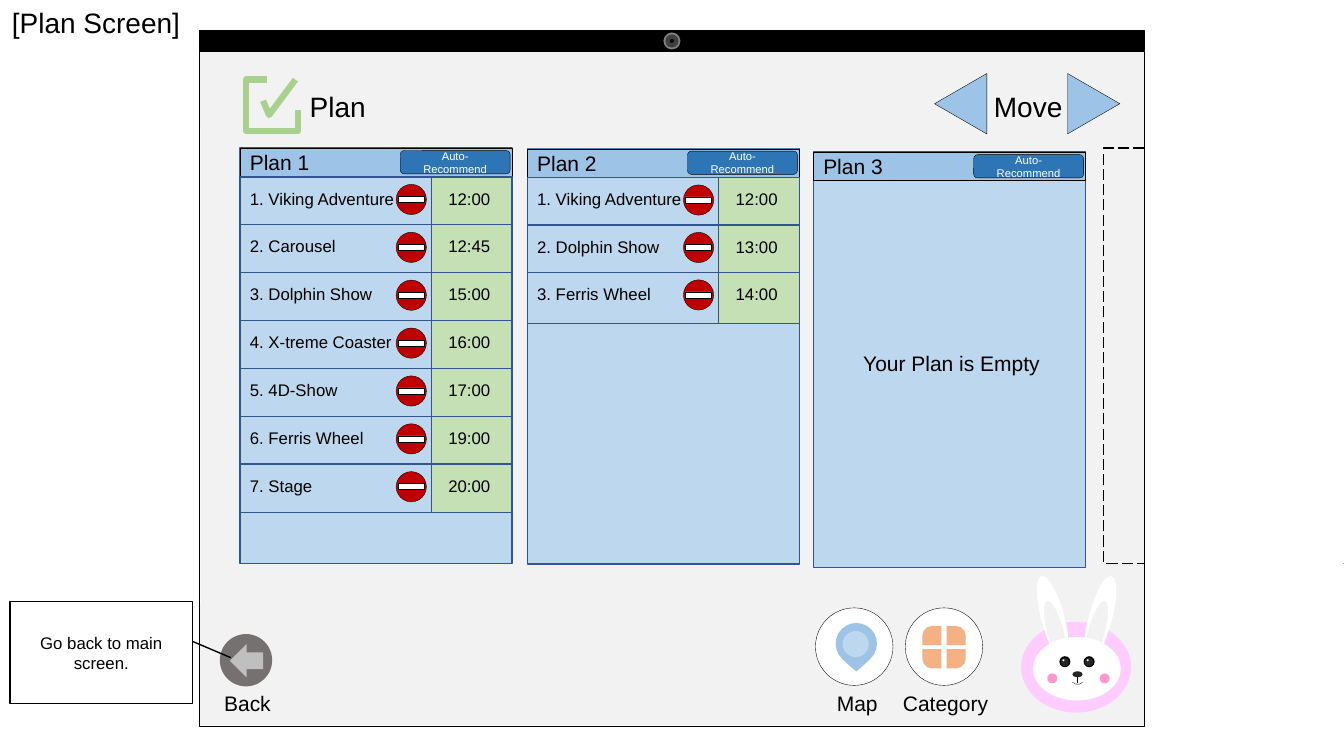
from lxml import etree
from pptx import Presentation
from pptx.dml.color import RGBColor
from pptx.enum.dml import MSO_LINE
from pptx.enum.shapes import MSO_CONNECTOR, MSO_SHAPE as SH
from pptx.enum.text import MSO_ANCHOR, PP_ALIGN
from pptx.oxml.ns import qn
from pptx.util import Pt

prs = Presentation()
prs.slide_width, prs.slide_height = Pt(960), Pt(540)
s = prs.slides.add_slide(prs.slide_layouts[5])


def shape(kind, x, y, w, h, fill=None, line=None, weight=0.25, rot=0, adj=()):
    sp = s.shapes.add_shape(kind, Pt(x), Pt(y), Pt(w), Pt(h))
    sp.shadow.inherit = False
    sp.rotation = rot
    for i, value in enumerate(adj):
        sp.adjustments[i] = value
    if fill:
        sp.fill.solid()
        sp.fill.fore_color.rgb = RGBColor.from_string(fill)
    else:
        sp.fill.background()
    if line:
        sp.line.color.rgb = RGBColor.from_string(line)
        sp.line.width = Pt(weight)
    else:
        sp.line.fill.background()
    return sp


def write(text, sp=None, box=None, size=15, color="000000",
          align=PP_ALIGN.CENTER, anchor=MSO_ANCHOR.TOP):
    sp = sp or s.shapes.add_textbox(*[Pt(v) for v in box])
    tf = sp.text_frame
    tf.word_wrap = True
    tf.vertical_anchor = anchor
    p = tf.paragraphs[0]
    p.alignment = align
    r = p.add_run()
    r.text = text
    r.font.name = "Arial"
    r.font.size = Pt(size)
    r.font.color.rgb = RGBColor.from_string(color)


title = s.shapes.title
title.left, title.top, title.width, title.height = Pt(-13.5), Pt(0), Pt(164.2), Pt(31.5)
write("[Plan Screen]", title, size=20)

# Tablet
shape(SH.RECTANGLE, 142.6, 36.7, 674.6, 481.7, "F2F2F2", "000000")
shape(SH.RECTANGLE, 142.6, 21.6, 674.6, 14.6, "000000", "000000", 1)
for d, color in [(12.2, "808080"), (9.4, "404040"), (2.9, "000000")]:
    shape(SH.OVAL, 480 - d / 2, 29.3 - d / 2, d, d, color)

# Rabbit
shape(SH.OVAL, 729.4, 444.2, 78.5, 64.8, "FFCCFF")
for outer_x, inner_x, rot in [(743.8, 748.1, 345), (777.6, 777.6, 15)]:
    shape(SH.OVAL, outer_x, 410.4, 16.6, 62.6, "FFFFFF", rot=rot)
    shape(SH.OVAL, inner_x, 428.4, 11.5, 45.4, "F2F2F2", rot=rot)
shape(SH.OVAL, 738, 455, 62.6, 45.4, "FFFFFF")
for eye_x, cheek_x in [(756.7, 748.1), (774, 785.5)]:
    shape(SH.OVAL, eye_x, 468.7, 7.9, 7.9, "000000")
    shape(SH.OVAL, eye_x + 0.9, 470, 5.8, 5.8, "262626")
    shape(SH.OVAL, eye_x + 2.2, 470.9, 1.4, 1.4, "FFFFFF")
    shape(SH.OVAL, cheek_x, 481, 7.2, 7.2, "FF99CC")
shape(SH.OVAL, 766.1, 479.5, 7.2, 4.3, "262626")
shape(SH.ARC, 764.6, 478.8, 10.1, 10.1, line="000000", rot=135)

# Back button
shape(SH.OVAL, 157, 452.9, 37.4, 37.4, "767171")
write("Back", box=(151.9, 489.6, 49.7, 25.2))
shape(SH.LEFT_ARROW, 164.2, 460.1, 23.8, 23.8, "BFBFBF")

# Heading
check_box = [(190.8, 56.9), (175.7, 56.9), (175.7, 93.6), (213.1, 93.6), (213.1, 78.5)]
check_mark = [(187.9, 72), (192.2, 82.1), (211, 56.9)]
for points in (check_box, check_mark):
    points = [(Pt(x), Pt(y)) for x, y in points]
    fb = s.shapes.build_freeform(*points[0])
    fb.add_line_segments(points[1:], close=False)
    sp = fb.convert_to_shape()
    sp.shadow.inherit = False
    sp.fill.background()
    sp.line.color.rgb = RGBColor.from_string("A9D18E")
    sp.line.width = Pt(4.5)
write("Plan", box=(171.4, 60.5, 139.7, 31.7), size=20)
for x, rot in [(759.6, 90), (664.6, 270)]:
    shape(SH.ISOSCELES_TRIANGLE, x, 55.4, 43.2, 37.4, "9DC3E6", "000000", rot=rot)
write("Move", box=(693.4, 60.5, 82.1, 31.7), size=20)

# Plans
plans = [
    ("Plan 1", 171.4, 105.8, 34.2, [
        ("1. Viking Adventure", "12:00"), ("2. Carousel", "12:45"),
        ("3. Dolphin Show", "15:00"), ("4. X-treme Coaster", "16:00"),
        ("5. 4D-Show", "17:00"), ("6. Ferris Wheel", "19:00"), ("7. Stage", "20:00")]),
    ("Plan 2", 376.6, 106.2, 33.9, [
        ("1. Viking Adventure", "12:00"), ("2. Dolphin Show", "13:00"),
        ("3. Ferris Wheel", "14:00")]),
    ("Plan 3", 581, 108.7, 0, []),
]
for name, x, y, pitch, rides in plans:
    shape(SH.RECTANGLE, x, y, 194.4, 296.6, "BDD7EE", "325491", 1)
    shape(SH.RECTANGLE, x, y, 194.4, 20.2, "9DC3E6", "000000")
    write(name, box=(x, y - 2.5, 139.7, 25.2), align=PP_ALIGN.LEFT)
    button = shape(SH.ROUNDED_RECTANGLE, x + 114.5, y + 1.8, 78.5, 16.6, "2E75B6", "000000")
    write("Auto-Recommend", button, size=8, color="FFFFFF", anchor=MSO_ANCHOR.MIDDLE)
    for i, (ride, time) in enumerate(rides):
        top = y + 20.5 + i * pitch
        h = 34.6 if i == 6 else 36.7
        shape(SH.RECTANGLE, x, top, 194.4, h, "BDD7EE", "325491", 1)
        write(ride, box=(x, top + 4.7, 139.7, 21.6), size=12, align=PP_ALIGN.LEFT)
        shape(SH.RECTANGLE, x + 136.8, top, 57.6, h, "C5E0B4", "325491", 1)
        write(time, box=(x + 141.8, top + 4.7, 57.6, 21.6), size=12, align=PP_ALIGN.LEFT)
        shape(SH.OVAL, x + 111.6, top + 5.4, 21.6, 21.6, "C00000", "000000")
        shape(SH.RECTANGLE, x + 113, top + 14, 18.7, 4.3, "FFFFFF", "000000")
write("Your Plan is Empty", box=(582.5, 247, 194.4, 25.2))

# Next plan, cut off at the screen edge
next_plan = shape(SH.RECTANGLE, 788.4, 105.8, 194.4, 296.6, line="000000", weight=1)
next_plan.line.dash_style = MSO_LINE.LONG_DASH
for x in (817.2, 0.7):
    shape(SH.RECTANGLE, x, 90.7, 142.6, 341.3, "FFFFFF")
for x, top, bottom in [(817.2, 60.5, 468.7), (142.6, 60.5, 468.7), (769.7, 483.8, 488.2)]:
    cn = s.shapes.add_connector(MSO_CONNECTOR.STRAIGHT, Pt(x), Pt(top), Pt(x), Pt(bottom))
    cn.line.color.rgb = RGBColor.from_string("000000")
    cn.line.width = Pt(0.25)
    etree.SubElement(cn._element.spPr, qn("a:effectLst"))

# Category and map buttons
for name, x, text_x, text_w in [("Category", 646.6, 633.6, 83.5), ("Map", 582.5, 587.5, 49.7)]:
    shape(SH.OVAL, x, 434.2, 55.4, 55.4, "FFFFFF", "000000")
    write(name, box=(text_x, 489.6, text_w, 25.2))
for x, y, rot in [(676.1, 447.1, 0), (658.8, 447.1, 270), (676.1, 463.7, 90), (658.8, 463.7, 180)]:
    shape(SH.ROUND_1_RECTANGLE, x, y, 13.7, 13.7, "F4B183", rot=rot, adj=[0.5])
shape(SH.TEAR, 596.9, 445, 29.5, 29.5, "9DC3E6", rot=135, adj=[0.95])
shape(SH.OVAL, 601.9, 450.7, 18.7, 18.7, "BDD7EE")

callout = shape(SH.LINE_CALLOUT_1, 7.2, 429.8, 130.3, 72.7, "FFFFFF", "000000", 1,
                adj=[0.39, 1, 0.55, 1.21])
write("Go back to main screen.", callout, size=12, anchor=MSO_ANCHOR.MIDDLE)

prs.save("out.pptx")
